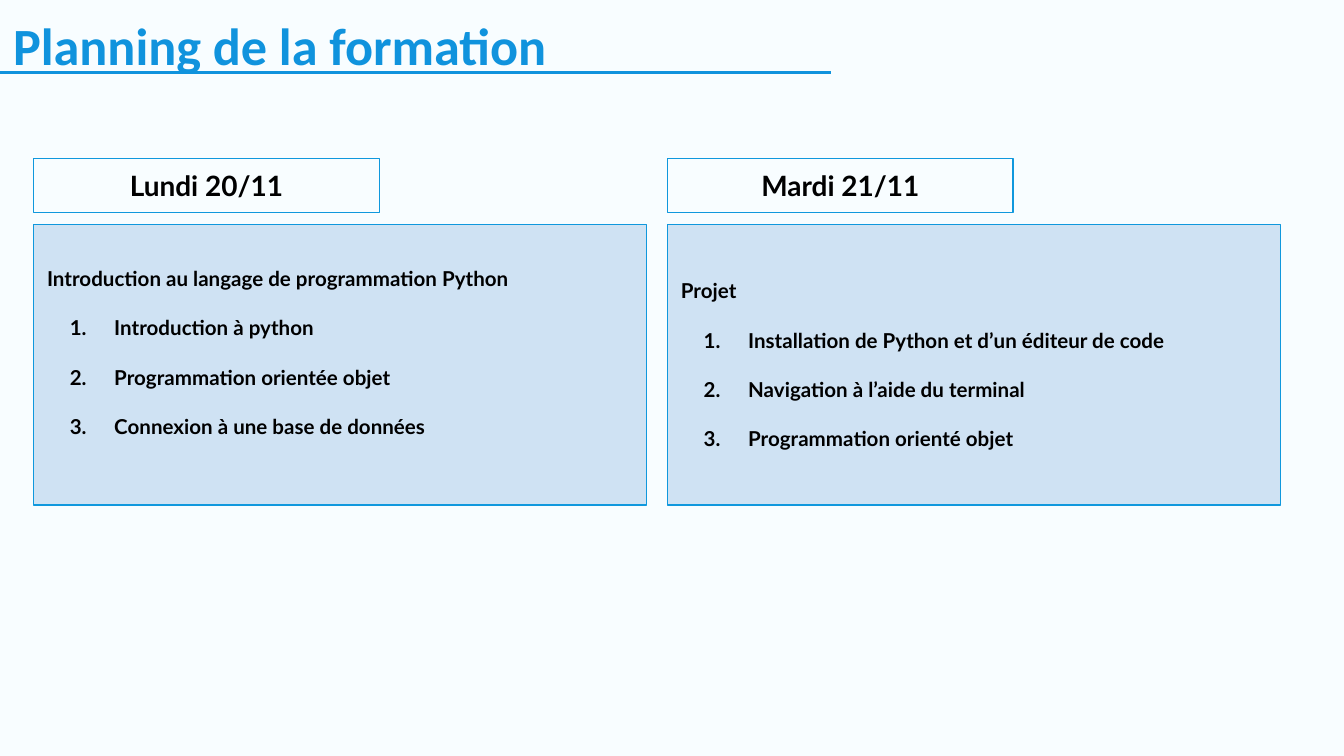
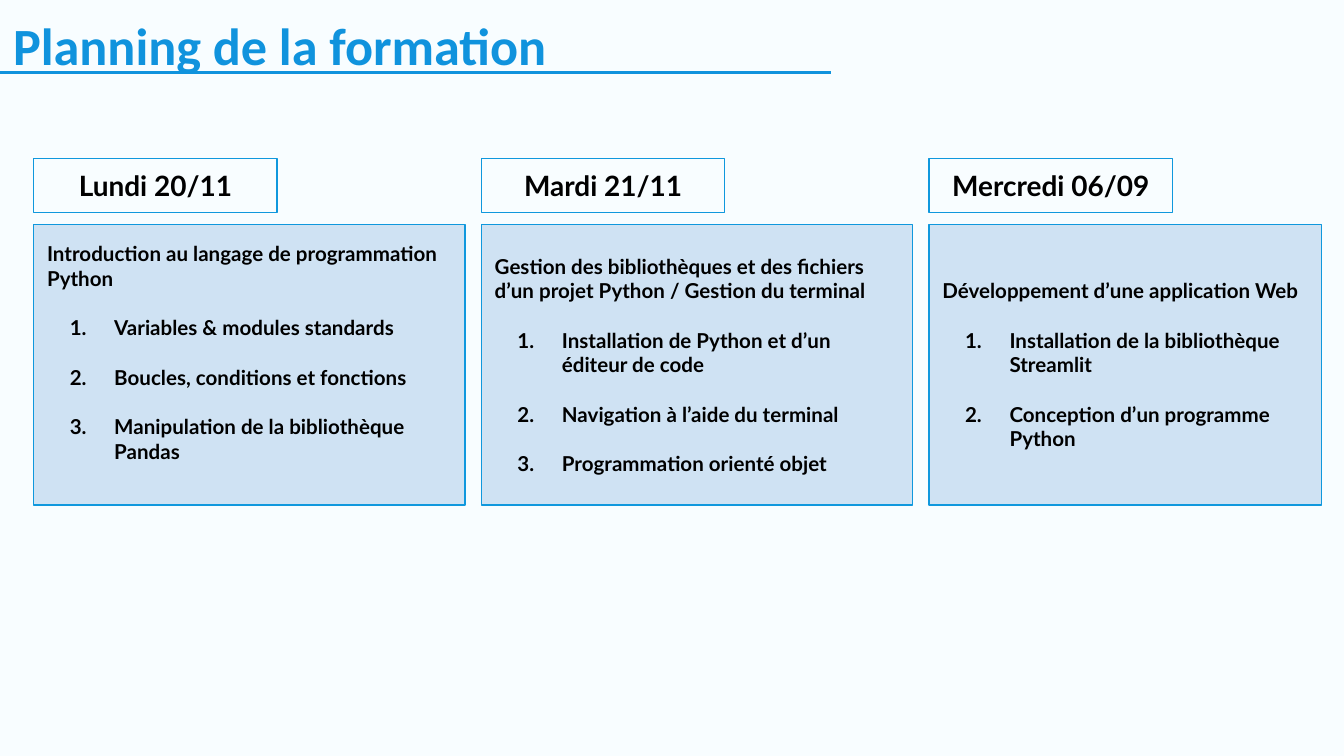
from lxml import etree
from pptx import Presentation
from pptx import util as u
from pptx.dml.color import RGBColor
from pptx.enum import shapes, text
from pptx.oxml.ns import qn

COLORS = {"page": "F8FDFF", "title": "1093DD", "border": "1098DD",
          "panel": "CFE2F3", "ink": "000000"}
TITLE_FONT = {"name": "Calibri", "size": u.Pt(28), "bold": True}
DAY_FONT = {"name": "Lato", "size": u.Pt(15), "bold": True}
BODY_FONT = {"name": "Lato", "size": u.Pt(11), "bold": True}
INSET = u.Cm(0.25)
BODY_LINE = u.Pt(13.2)

INTRO = "Introduction au langage de programmation Python"
PROJECT_STEPS = ["Installation de Python et d’un éditeur de code",
                 "Navigation à l’aide du terminal",
                 "Programmation orienté objet"]

# Each day: label, heading, steps, whether a line is kept free below
TWO_DAYS = [
    ("Lundi 20/11", INTRO,
     ["Introduction à python", "Programmation orientée objet",
      "Connexion à une base de données"], True),
    ("Mardi 21/11", "Projet", PROJECT_STEPS, False),
]
THREE_DAYS = [
    ("Lundi 20/11", INTRO,
     ["Variables & modules standards", "Boucles, conditions et fonctions",
      "Manipulation de la bibliothèque Pandas"], True),
    ("Mardi 21/11",
     "Gestion des bibliothèques et des fichiers d’un projet Python / Gestion du terminal",
     PROJECT_STEPS, False),
    ("Mercredi 06/09", "Développement d’une application Web",
     ["Installation de la bibliothèque Streamlit",
      "Conception d’un programme Python"], False),
]


def rgb(key):
    return RGBColor.from_string(COLORS[key])


def set_attrs(obj, values):
    for name, value in values.items():
        setattr(obj, name, value)


def setup_frame(tf, anchor):
    set_attrs(tf, {"word_wrap": True, "vertical_anchor": anchor,
                   "margin_left": INSET, "margin_right": INSET,
                   "margin_top": INSET, "margin_bottom": INSET})


def write(p, words, font, color="ink", align=text.PP_ALIGN.LEFT):
    p.alignment = align
    r = p.add_run()
    r.text = words
    set_attrs(r.font, font)
    r.font.color.rgb = rgb(color)


def number(p):
    """Turn a paragraph into a numbered item with a hanging indent."""
    pPr = p._p.get_or_add_pPr()
    pPr.set("marL", str(u.Cm(1.27)))
    pPr.set("indent", str(-u.Cm(0.84)))
    clr = etree.SubElement(pPr, qn("a:buClr"))
    etree.SubElement(clr, qn("a:srgbClr"), val=COLORS["ink"])
    etree.SubElement(pPr, qn("a:buAutoNum"), type="arabicPeriod")


def add_box(s, x, y, w, h, fill):
    sp = s.shapes.add_shape(shapes.MSO_SHAPE.RECTANGLE, x, y, w, h)
    sp.shadow.inherit = False
    sp.fill.solid()
    sp.fill.fore_color.rgb = rgb(fill)
    sp.line.color.rgb = rgb("border")
    sp.line.width = u.Pt(0.75)
    setup_frame(sp.text_frame, text.MSO_ANCHOR.MIDDLE)
    return sp.text_frame


def add_title(s, words, x, y, w, h):
    # Rule crossing the foot of the title
    rule_y = y + u.Cm(1.37)
    rule = s.shapes.add_connector(shapes.MSO_CONNECTOR.STRAIGHT,
                                  x, rule_y, x + w, rule_y)
    rule.line.color.rgb = rgb("title")
    rule.line.width = u.Pt(1.5)
    etree.SubElement(rule._element.spPr, qn("a:effectLst"))
    # Title text
    tf = s.shapes.add_textbox(x, y, w, h).text_frame
    setup_frame(tf, text.MSO_ANCHOR.TOP)
    write(tf.paragraphs[0], words, TITLE_FONT, "title")


def add_day(s, day, x, y, w, label_w):
    label, heading, steps, free_line = day
    # Date label
    tf = add_box(s, x, y, label_w, u.Cm(1.02), "page")
    write(tf.paragraphs[0], label, DAY_FONT, align=text.PP_ALIGN.CENTER)
    # Programme panel
    tf = add_box(s, x, y + u.Cm(1.24), w, u.Cm(5.31), "panel")
    if free_line:
        tf.margin_bottom = INSET + BODY_LINE
    write(tf.paragraphs[0], heading, BODY_FONT)
    for step in steps:
        p = tf.add_paragraph()
        number(p)
        p.space_before = BODY_LINE
        write(p, step, BODY_FONT)


def add_planning(prs, days, pitch, widths, label_w):
    s = prs.slides.add_slide(prs.slide_layouts[6])
    s.background.fill.solid()
    s.background.fill.fore_color.rgb = rgb("page")
    add_title(s, "Planning de la formation", 0, 0, u.Cm(15.7), u.Cm(1.7))
    for i, (day, w) in enumerate(zip(days, widths)):
        add_day(s, day, u.Cm(0.64 + i * pitch), u.Cm(3), u.Cm(w), u.Cm(label_w))


def main():
    prs = Presentation()
    prs.slide_width, prs.slide_height = u.Cm(25.4), u.Cm(14.29)
    add_planning(prs, TWO_DAYS, 11.98, [11.58, 11.58], 6.53)
    add_planning(prs, THREE_DAYS, 8.46, [8.15, 8.15, 7.42], 4.6)
    prs.save("out.pptx")


if __name__ == "__main__":
    main()
